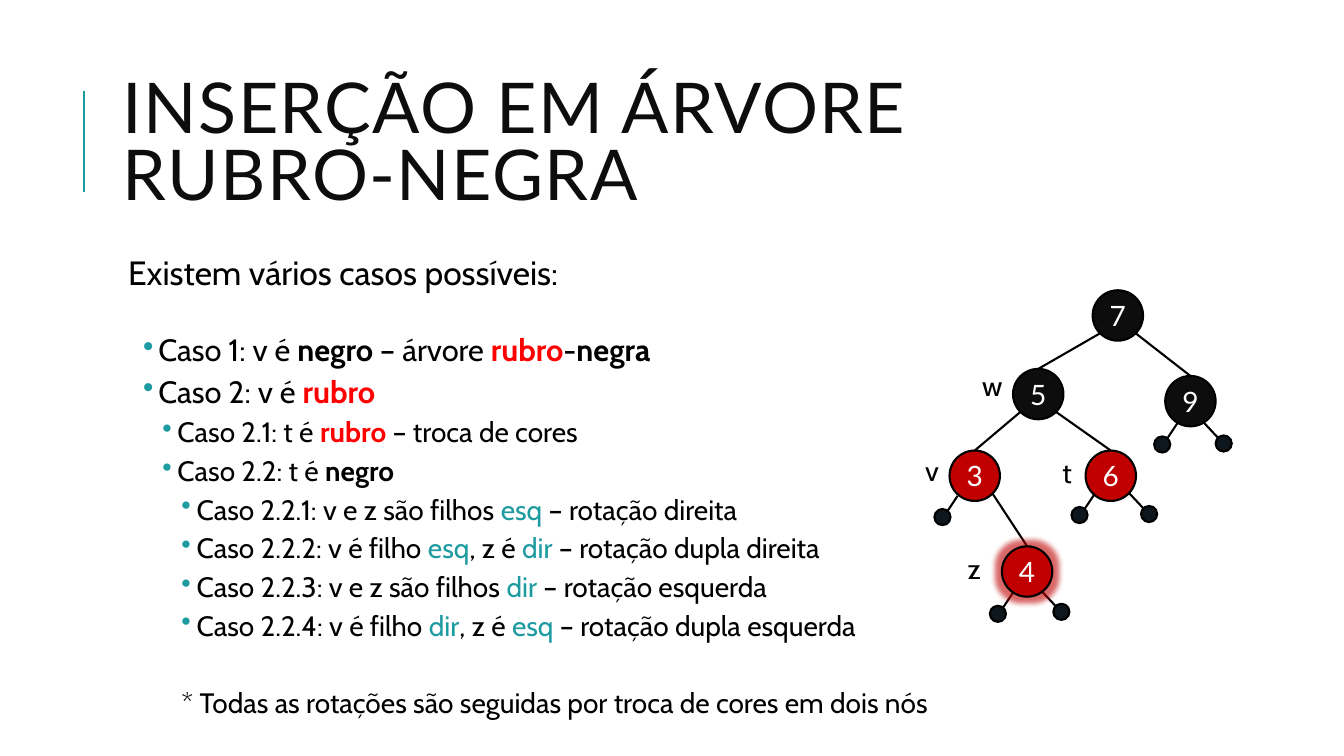
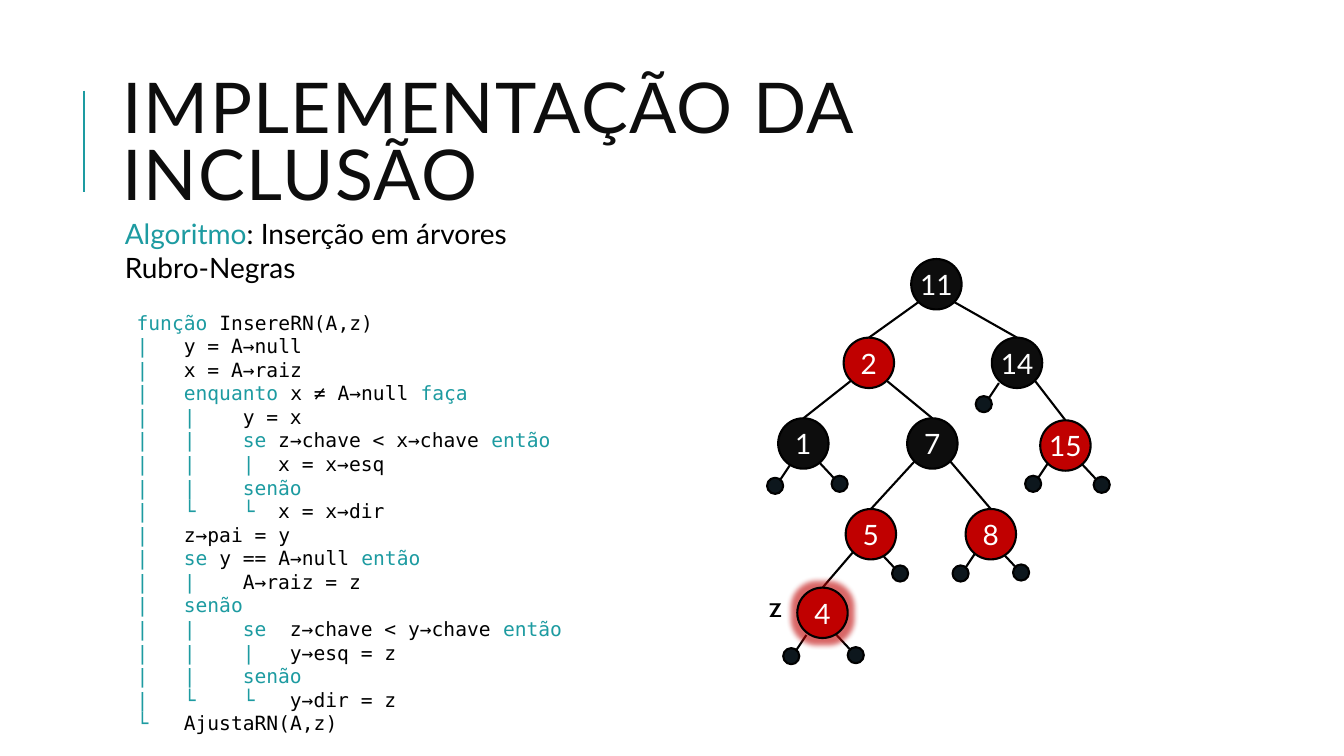
from dataclasses import dataclass
from math import sqrt

from lxml.etree import SubElement
from pptx import Presentation
from pptx.dml.color import RGBColor
from pptx.enum.shapes import MSO_CONNECTOR, MSO_SHAPE
from pptx.enum.text import MSO_ANCHOR as Anchor, MSO_AUTO_SIZE as AutoSize, PP_ALIGN as Align
from pptx.oxml.ns import qn
from pptx.util import Inches, Pt

WIDTH, HEIGHT = Inches(13.33), Inches(7.5)
COL, ROW = WIDTH / 80, HEIGHT / 45
COLORS = {
    "accent": "1D9BA1", "title": "0D0D0D", "text": "000000", "rubro": "FF0000",
    "black node": "0D0D0D", "red node": "C00000", "leaf": "0D171D",
    "outline": "000000", "label": "FFFFFF",
}
TITLE_FONT, BODY_FONT, CODE_FONT = "Lato", "Cabin", "DejaVu Sans Mono"
RADIUS, LEAF_RADIUS = 1.5, 0.48
CODE_CHAR = Inches(0.117)

NEGRO, RUBRO = ("negro", "bold"), ("rubro", "rubro")
ESQ, DIR = ("esq", "accent"), ("dir", "accent")
# (level, runs)
CASES = [
    (1, ["Caso 1: v é ", NEGRO, " – árvore ", RUBRO, "-", ("negra", "bold")]),
    (1, ["Caso 2: v é ", RUBRO]),
    (2, ["Caso 2.1: t é ", RUBRO, " – troca de cores"]),
    (2, ["Caso 2.2: t é ", NEGRO]),
    (3, ["Caso 2.2.1: v e z são filhos ", ESQ, " – rotação direita"]),
    (3, ["Caso 2.2.2: v é filho ", ESQ, ", z é ", DIR, " – rotação dupla direita"]),
    (3, ["Caso 2.2.3: v e z são filhos ", DIR, " – rotação esquerda"]),
    (3, ["Caso 2.2.4: v é filho ", DIR, ", z é ", ESQ, " – rotação dupla esquerda"]),
]
LEVELS = {1: (22, 0.4), 2: (20, 0.59), 3: (20, 0.78)}

# Text between tildes takes the accent colour; tabs lead to the code columns.
SEARCH = [
    "\t~função~ InsereRN(A,z)",
    "\t~|~\ty = A→null",
    "\t~|~\tx = A→raiz",
    "\t~|\tenquanto~ x ≠ A→null ~faça~",
    "\t~|\t|~\ty = x",
    "\t~|\t|\tse~ z→chave < x→chave ~então~",
    "\t~|\t|\t|~\tx = x→esq",
    "\t~|\t|\tsenão~",
    "\t~|\t└\t└~\tx = x→dir",
]
INSERTION = [
    "\t~|~\tz→pai = y",
    "\t~|\tse~ y == A→null ~então~",
    "\t~|\t|~\tA→raiz = z",
    "\t~|\tsenão~",
    "\t~|\t|\tse~\tz→chave < y→chave ~então~",
    "\t~|\t|\t|~\ty→esq = z",
    "\t~|\t|\tsenão~",
    "\t~|\t└\t└~\ty→dir = z",
    "\t~└~\tAjustaRN(A,z)",
]


@dataclass
class Node:
    """A tree node: its centre on the grid, parent key, leaf and tag offsets."""
    x: float
    y: float
    color: str
    parent: str = ""
    leaves: tuple = ()
    tag: str = ""
    tag_offset: tuple = ()
    glow: bool = False


CASES_TREE = {
    "7": Node(66.54, 18.78, "black node"),
    "9": Node(70.86, 23.88, "black node", "7", ((-1.68, 2.58), (1.98, 2.52))),
    "5": Node(61.8, 23.46, "black node", "7", (), "w", (-2.97, -0.48)),
    "3": Node(58.02, 28.32, "red node", "5", ((-1.92, 2.46),), "v", (-2.58, -0.3)),
    "6": Node(66.12, 28.32, "red node", "5", ((-1.86, 2.34), (2.28, 2.28)),
              "t", (-2.52, -0.18)),
    "4": Node(61.14, 34.02, "red node", "3", ((-1.74, 2.52), (2.04, 2.4)),
              "z", (-3.18, -0.18), True),
}
INSERTION_TREE = {
    "11": Node(55.74, 16.92, "black node"),
    "2": Node(51.72, 21.6, "red node", "11"),
    "14": Node(60.54, 21.6, "black node", "11", ((-1.98, 2.46),)),
    "1": Node(47.82, 26.4, "black node", "2", ((-1.68, 2.52), (2.16, 2.4))),
    "7": Node(55.5, 26.4, "black node", "2"),
    "15": Node(63.42, 26.52, "red node", "14", ((-1.92, 2.28), (2.16, 2.34))),
    "5": Node(51.84, 31.8, "red node", "7", ((1.74, 2.34),)),
    "8": Node(58.98, 31.8, "red node", "7", ((-1.8, 2.34), (1.8, 2.28))),
    "4": Node(48.96, 36.48, "red node", "5", ((-1.86, 2.58), (1.98, 2.52)),
              "z", (-2.82, -0.36), True),
}


def rgb(color):
    """Return the colour with this name."""
    return RGBColor.from_string(COLORS[color])


def box(x, y, width, height):
    """Turn grid cells into left, top, width and height."""
    return round(x * COL), round(y * ROW), round(width * COL), round(height * ROW)


def add_run(paragraph, text, font, size, color="text", bold=False):
    """Add one formatted run."""
    run = paragraph.add_run()
    run.text = text
    run.font.name, run.font.size, run.font.bold = font, Pt(size), bold
    run.font.color.rgb = rgb(color)
    return run


def add_line(shapes, start, end, color="outline"):
    """Draw a straight line between two grid points."""
    line = shapes.add_connector(MSO_CONNECTOR.STRAIGHT, *box(*start, *end))
    line.line.color.rgb = rgb(color)
    line.line.width = Pt(1.5)
    SubElement(line._element.spPr, qn("a:effectLst"))


def add_circle(shapes, x, y, radius, color):
    """Draw an outlined circle around a grid point."""
    circle = shapes.add_shape(MSO_SHAPE.OVAL, *box(x - radius, y - radius, 2 * radius, 2 * radius))
    circle.shadow.inherit = False
    circle.fill.solid()
    circle.fill.fore_color.rgb = rgb(color)
    circle.line.color.rgb = rgb("outline")
    circle.line.width = Pt(1.5)
    return circle


def add_glow(shape):
    """Surround a shape with a translucent red glow."""
    effects = shape._element.spPr.find(qn("a:effectLst"))
    glow = SubElement(effects, qn("a:glow"), rad=str(Pt(8)))
    tint = SubElement(glow, qn("a:srgbClr"), val=COLORS["red node"])
    SubElement(tint, qn("a:alpha"), val="60000")


def add_leaf(shapes, node, offset):
    """Hang a small empty leaf below a node."""
    x, y = node.x + offset[0], node.y + offset[1]
    start, end = (0.9, 0.3) if offset[0] < 0 else (-1.2, -0.36)
    add_line(shapes, (x + start, y - 1.26), (x + end, y - 0.36))
    add_circle(shapes, x, y, LEAF_RADIUS, "leaf")


def add_node(shapes, key, node):
    """Draw a numbered node, with its glow and tag if it has them."""
    circle = add_circle(shapes, node.x, node.y, RADIUS, node.color)
    if node.glow:
        add_glow(circle)
    frame = circle.text_frame
    frame.margin_left = frame.margin_right = frame.margin_top = frame.margin_bottom = 0
    frame.vertical_anchor = Anchor.MIDDLE
    frame.word_wrap = False
    frame.paragraphs[0].alignment = Align.CENTER
    add_run(frame.paragraphs[0], key, TITLE_FONT, 20, "label")
    if node.tag:
        left, top = node.x + node.tag_offset[0] - 0.96, node.y + node.tag_offset[1] - 1.32
        tag = shapes.add_textbox(*box(left, top, 1.92, 2.64)).text_frame
        tag.word_wrap = False
        tag.auto_size = AutoSize.SHAPE_TO_FIT_TEXT
        add_run(tag.paragraphs[0], node.tag, BODY_FONT, 20)


def add_tree(slide, tree):
    """Draw a grouped tree: branches, then leaves, then nodes."""
    shapes = slide.shapes.add_group_shape().shapes
    reach = RADIUS * sqrt(0.5)
    for node in tree.values():
        if node.parent:
            parent = tree[node.parent]
            side = reach if node.x > parent.x else -reach
            add_line(shapes, (parent.x + side, parent.y + reach), (node.x, node.y - RADIUS))
    for node in tree.values():
        for offset in node.leaves:
            add_leaf(shapes, node, offset)
    for key, node in tree.items():
        add_node(shapes, key, node)


def add_titled_slide(deck, title):
    """Add a slide with the accent rule and the formatted title."""
    slide = deck.slides.add_slide(deck.slide_layouts[5])
    add_line(slide.shapes, (5, 5.4), (5, 11.4), "accent")
    heading = slide.shapes.title
    heading.left, heading.top, heading.width, heading.height = box(6.72, 3.84, 63.78, 9.84)
    frame = heading.text_frame
    frame.auto_size = AutoSize.NONE
    frame.word_wrap = True
    frame.vertical_anchor = Anchor.MIDDLE
    paragraph = frame.paragraphs[0]
    paragraph.alignment = Align.LEFT
    paragraph.line_spacing = 0.8
    run = add_run(paragraph, title, TITLE_FONT, 50, "title")
    run._r.get_or_add_rPr().set("spc", "100")
    return slide


def format_paragraph(paragraph, indent, before, after, bullet=False):
    """Set spacing, indent and an optional accent bullet."""
    paragraph.line_spacing = 0.9
    paragraph.space_before, paragraph.space_after = Pt(before), Pt(after)
    props = paragraph._p.get_or_add_pPr()
    props.set("marL", str(Inches(indent)))
    props.set("indent", str(Inches(-0.15 if bullet else 0)))
    if bullet:
        tint = SubElement(props, qn("a:buClr"))
        SubElement(tint, qn("a:srgbClr"), val=COLORS["accent"])
        SubElement(props, qn("a:buChar"), char="•")


def add_cases(slide):
    """Write the list of insertion cases."""
    frame = slide.shapes.add_textbox(*box(6.72, 15, 63.78, 29.22)).text_frame
    frame.word_wrap = True
    frame.margin_left = frame.margin_right = Inches(0.05)
    intro = frame.paragraphs[0]
    format_paragraph(intro, 0.1, 0, 28)
    add_run(intro, "Existem vários casos possíveis:", BODY_FONT, 24)
    for level, parts in CASES:
        size, indent = LEVELS[level]
        case = frame.add_paragraph()
        case.level = level
        format_paragraph(case, indent, 2, 4, bullet=True)
        for part in parts:
            text, style = (part, "text") if isinstance(part, str) else part
            color = "text" if style == "bold" else style
            add_run(case, text, BODY_FONT, size, color, style in ("bold", "rubro"))
    note = frame.add_paragraph()
    note.level = 3
    format_paragraph(note, 0.63, 30, 4)
    add_run(note, "* Todas as rotações são seguidas por troca de cores em dois nós", BODY_FONT, 20)


def add_code_line(frame, line, columns):
    """Write one line of code on tab stops counted in characters."""
    paragraph = frame.add_paragraph()
    paragraph.line_spacing = Pt(16.85)
    stops = SubElement(paragraph._p.get_or_add_pPr(), qn("a:tabLst"))
    for column in columns:
        SubElement(stops, qn("a:tab"), pos=str(column * CODE_CHAR), algn="l")
    for index, text in enumerate(line.split("~")):
        if text:
            add_run(paragraph, text, CODE_FONT, 14, "accent" if index % 2 else "text")


def add_algorithm(slide):
    """Write the heading and the code of the algorithm."""
    frame = slide.shapes.add_textbox(*box(6.84, 12.6, 28.6, 29.7)).text_frame
    frame.word_wrap = True
    heading = frame.paragraphs[0]
    heading.space_after = Pt(19)
    add_run(heading, "Algoritmo", TITLE_FONT, 20, "accent")
    add_run(heading, ": Inserção em árvores Rubro-Negras", TITLE_FONT, 20)
    for lines, deepest in ((SEARCH, 13), (INSERTION, 14)):
        for line in lines:
            add_code_line(frame, line, (1, 5, 10, deepest))


def main():
    """Build and save both slides."""
    deck = Presentation()
    deck.slide_width, deck.slide_height = WIDTH, HEIGHT
    cases = add_titled_slide(deck, "INSERÇÃO EM ÁRVORE RUBRO-NEGRA")
    add_cases(cases)
    add_tree(cases, CASES_TREE)
    algorithm = add_titled_slide(deck, "IMPLEMENTAÇÃO DA INCLUSÃO")
    add_algorithm(algorithm)
    add_tree(algorithm, INSERTION_TREE)
    deck.save("out.pptx")


main()
